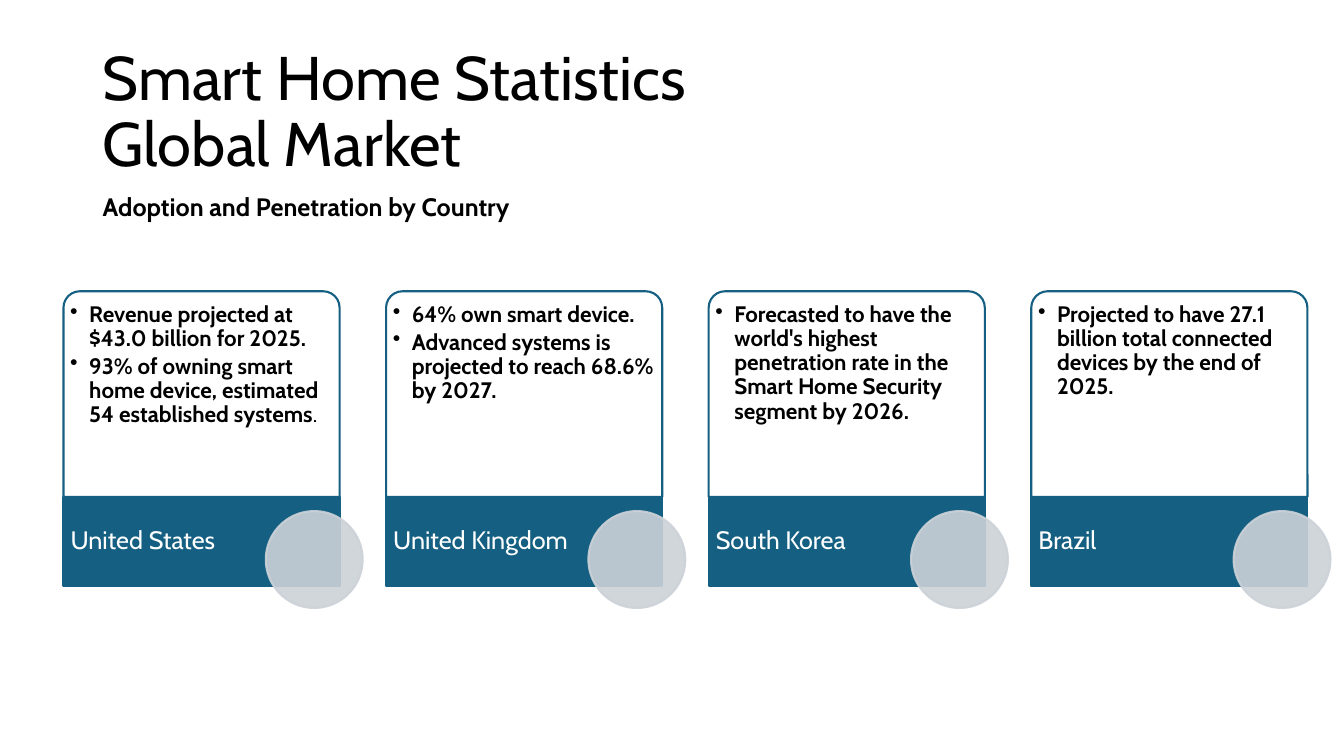
from dataclasses import dataclass

import lxml.etree
import pptx
import pptx.dml.color
import pptx.enum.shapes
import pptx.enum.text
import pptx.oxml.ns
import pptx.util
from pptx.util import Cm, Pt

FONT = "Cabin"
BLACK, WHITE, TEAL, GRAY = "000000", "FFFFFF", "156082", "CCD2D8"
CARD_LEFT, CARD_TOP, CARD_PITCH = 1.6, 7.34, 8.13
CARD_WIDTH, BODY_HEIGHT, BAND_HEIGHT = 6.96, 5.18, 2.24
BAND_TOP = CARD_TOP + BODY_HEIGHT
CIRCLE_SIZE = 2.44
HANGING_INDENT = 0.48

SHAPES = pptx.enum.shapes.MSO_SHAPE
ANCHORS = pptx.enum.text.MSO_ANCHOR


@dataclass
class Fact:
    text: str
    regular_ending: str = ""


@dataclass
class Country:
    name: str
    facts: list[Fact]


COUNTRIES = [
    Country("United States", [
        Fact("Revenue projected at $43.0 billion for 2025."),
        Fact("93% of owning smart home device, estimated 54 established systems", "."),
    ]),
    Country("United Kingdom", [
        Fact("64% own smart device."),
        Fact("Advanced systems is projected to reach 68.6% by 2027."),
    ]),
    Country("South Korea", [
        Fact("Forecasted to have the world's highest penetration rate in "
             "the Smart Home Security segment by 2026."),
    ]),
    Country("Brazil", [
        Fact("Projected to have 27.1 billion total connected devices by the end of 2025."),
    ]),
]


def rgb(color: str) -> pptx.dml.color.RGBColor:
    return pptx.dml.color.RGBColor.from_string(color)


def set_opacity(fill_owner, percent: int) -> None:
    for color in fill_owner.iter(pptx.oxml.ns.qn("a:srgbClr")):
        alpha = lxml.etree.SubElement(color, pptx.oxml.ns.qn("a:alpha"))
        alpha.set("val", str(percent * 1000))


def add_bullet(paragraph) -> None:
    properties = paragraph._p.get_or_add_pPr()
    indent = Cm(HANGING_INDENT)
    properties.set("marL", str(indent))
    properties.set("indent", str(-indent))
    bullet = lxml.etree.SubElement(properties, pptx.oxml.ns.qn("a:buChar"))
    bullet.set("char", "•")


def add_text(slide, facts: list[Fact], left: float, top: float, width: float,
             height: float, *, size: float, color: str = BLACK, bold: bool = False,
             bullets: bool = False, anchor=ANCHORS.TOP, line_spacing: float = 1.0,
             space_after: float = 0,
             margins: tuple[float, ...] = (0.25, 0.13, 0.25, 0.13)) -> None:
    """Margins run left, top, right, bottom; all lengths are centimetres."""
    box = slide.shapes.add_textbox(Cm(left), Cm(top), Cm(width), Cm(height))
    frame = box.text_frame
    frame.word_wrap = True
    frame.vertical_anchor = anchor
    (frame.margin_left, frame.margin_top,
     frame.margin_right, frame.margin_bottom) = map(Cm, margins)
    for index, fact in enumerate(facts):
        paragraph = frame.add_paragraph() if index else frame.paragraphs[0]
        if bullets:
            add_bullet(paragraph)
        paragraph.line_spacing = line_spacing
        paragraph.space_after = Pt(space_after)
        paragraph.text = fact.text.replace("\n", "\v")
        for run in paragraph.runs:
            run.font.bold = bold
        if fact.regular_ending:
            ending = paragraph.add_run()
            ending.text = fact.regular_ending
            ending.font.bold = False
        for run in paragraph.runs:
            run.font.name = FONT
            run.font.size = Pt(size)
            run.font.color.rgb = rgb(color)


def add_panel(slide, kind, left: float, top: float, width: float, height: float,
              fill: str, line: str):
    panel = slide.shapes.add_shape(kind, Cm(left), Cm(top), Cm(width), Cm(height))
    panel.shadow.inherit = False
    panel.fill.solid()
    panel.fill.fore_color.rgb = rgb(fill)
    panel.line.color.rgb = rgb(line)
    panel.line.width = Pt(1.5)
    return panel


def add_card(slide, country: Country, left: float) -> None:
    body = add_panel(slide, SHAPES.ROUND_2_SAME_RECTANGLE, left, CARD_TOP,
                     CARD_WIDTH, BODY_HEIGHT, WHITE, TEAL)
    body.adjustments[0] = 0.08
    body.adjustments[1] = 0
    add_text(slide, country.facts, left + 0.12, CARD_TOP + 0.12, CARD_WIDTH - 0.24,
             BODY_HEIGHT - 0.12, size=16, bold=True, bullets=True, line_spacing=0.9,
             space_after=2.4, margins=(0.05, 0.18, 0.05, 0.05))
    add_panel(slide, SHAPES.RECTANGLE, left, BAND_TOP, CARD_WIDTH, BAND_HEIGHT, TEAL, TEAL)
    add_text(slide, [Fact(country.name)], left, BAND_TOP, 4.9, BAND_HEIGHT, size=18,
             color=WHITE, anchor=ANCHORS.MIDDLE, line_spacing=0.9,
             margins=(0.18, 0, 0.08, 0))
    circle = add_panel(slide, SHAPES.OVAL, left + 5.1, BAND_TOP + 0.36,
                       CIRCLE_SIZE, CIRCLE_SIZE, GRAY, GRAY)
    set_opacity(circle._element.spPr, 90)


def main() -> None:
    presentation = pptx.Presentation()
    presentation.slide_width = Cm(33.87)
    presentation.slide_height = Cm(19.05)
    slide = presentation.slides.add_slide(presentation.slide_layouts[6])
    add_text(slide, [Fact("Smart Home Statistics\nGlobal Market")], 2.34, 1.02, 29.21, 3.68,
             size=44, anchor=ANCHORS.MIDDLE, line_spacing=0.9)
    add_text(slide, [Fact("Adoption and Penetration by Country")], 2.34, 4.7, 29.21, 1.02,
             size=18, bold=True)
    for index, country in enumerate(COUNTRIES):
        add_card(slide, country, CARD_LEFT + index * CARD_PITCH)
    presentation.save("out.pptx")


if __name__ == "__main__":
    main()
